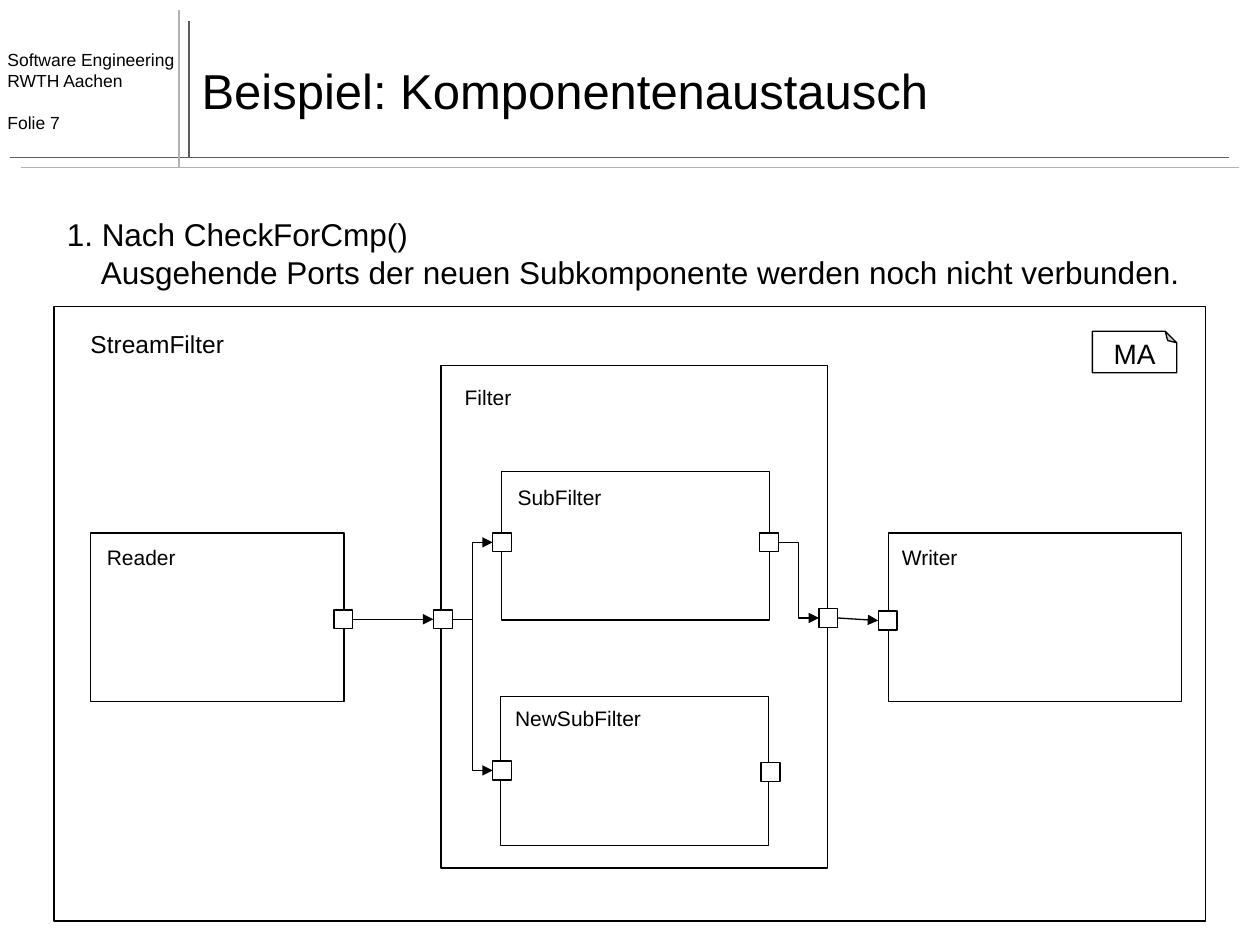
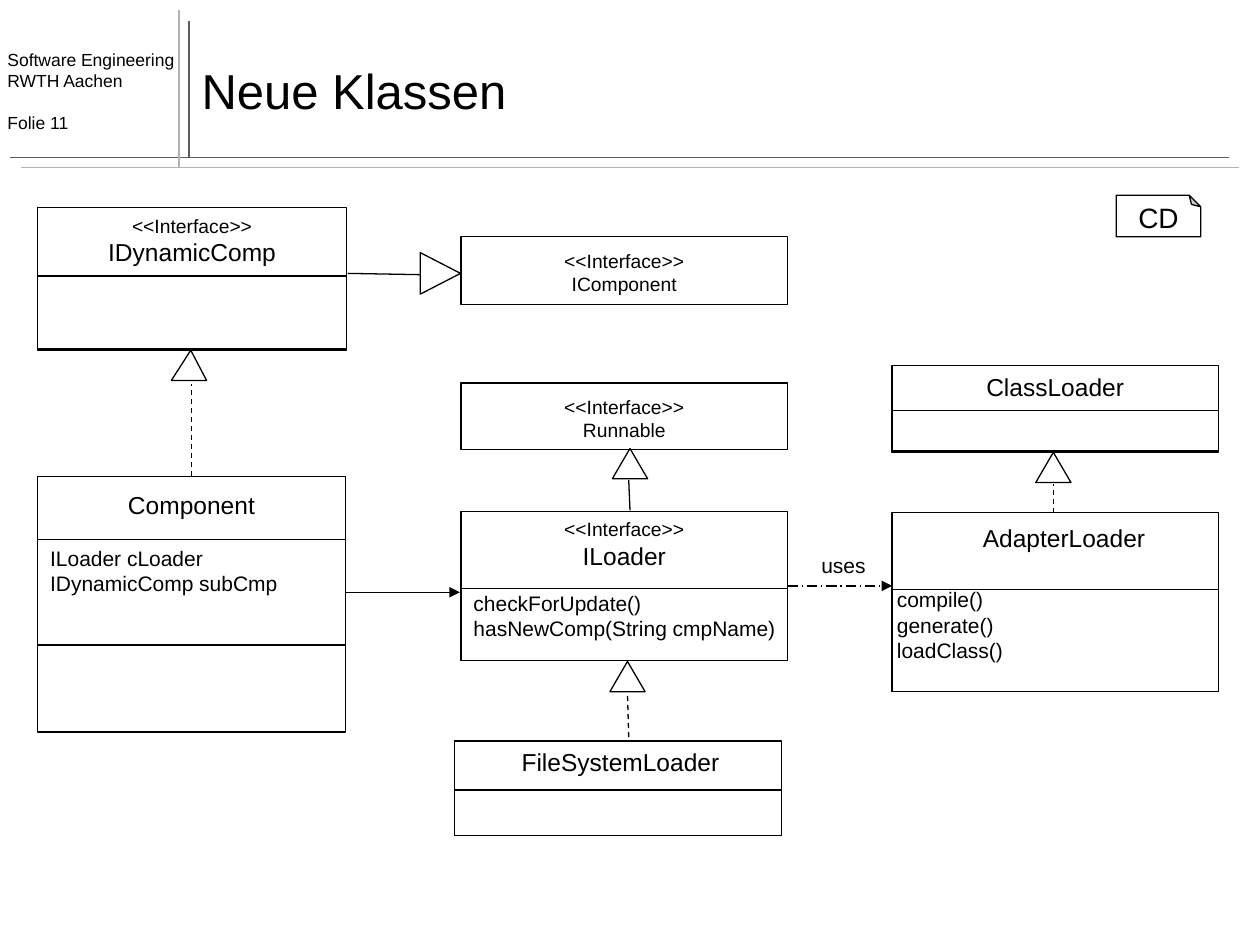
from lxml.etree import SubElement
from pptx import Presentation
from pptx.dml.color import RGBColor
from pptx.enum.dml import MSO_LINE as Dash
from pptx.enum.shapes import MSO_CONNECTOR as Link, MSO_SHAPE as Preset
from pptx.enum.text import MSO_ANCHOR as Anchor, PP_ALIGN as Align
from pptx.oxml.ns import qn
from pptx.util import Inches, Pt

COLORS = {"ink": "000000", "paper": "FFFFFF", "rule": "5C5C5C", "rule_light": "B2B2B2"}
FONT = "Arial"
PORT = 0.15
LEFT_SITE, RIGHT_SITE = 1, 3
STEREOTYPE = ("<<Interface>>", 11)


def color(name):
    return RGBColor.from_string(COLORS[name])


def write(frame, lines, align=Align.LEFT):
    for index, (text, size) in enumerate(lines):
        paragraph = frame.paragraphs[0] if index == 0 else frame.add_paragraph()
        paragraph.alignment = align
        paragraph.space_before = Pt(0)
        run = paragraph.add_run()
        run.text = text
        run.font.size = Pt(size)
        run.font.name = FONT
        run.font.color.rgb = color("ink")


def label(slide, box, lines, align=Align.LEFT, wrap=True):
    frame = slide.shapes.add_textbox(*map(Inches, box)).text_frame
    frame.word_wrap = wrap
    write(frame, lines, align)
    return frame


def outline(slide, preset, box, fill="paper"):
    shape = slide.shapes.add_shape(preset, *map(Inches, box))
    shape.shadow.inherit = False
    if fill:
        shape.fill.solid()
        shape.fill.fore_color.rgb = color(fill)
    else:
        shape.fill.background()
    shape.line.color.rgb = color("ink")
    shape.line.width = Pt(0.75)
    return shape


def line(slide, start, end, stroke="ink", width=0.75, kind=Link.STRAIGHT,
         dash=None, arrow=False):
    connector = slide.shapes.add_connector(kind, *map(Inches, (*start, *end)))
    connector.line.color.rgb = color(stroke)
    connector.line.width = Pt(width)
    if dash:
        connector.line.dash_style = dash
    properties = connector._element.spPr
    if arrow:
        SubElement(properties.find(qn("a:ln")), qn("a:tailEnd"), type="triangle")
    SubElement(properties, qn("a:effectLst"))
    return connector


def wire(slide, source, target, kind=Link.STRAIGHT):
    connector = line(slide, (0, 0), (1, 1), kind=kind, arrow=True)
    connector.begin_connect(source, RIGHT_SITE)
    connector.end_connect(target, LEFT_SITE)


def add_slide(deck, layout, title, number):
    slide = deck.slides.add_slide(deck.slide_layouts[layout])
    line(slide, (1.5, 1.25), (1.5, 0.17), "rule", 1)
    line(slide, (0.08, 1.25), (9.75, 1.25), "rule", 1)
    line(slide, (0.17, 1.33), (9.83, 1.33), "rule_light", 1)
    line(slide, (1.42, 1.33), (1.42, 0.08), "rule_light", 1)

    imprint = label(slide, (0, 0.34, 1.5, 0.77), [
        ("Software Engineering", 10), ("RWTH Aachen", 10), (f"Folie {number}", 10)])
    imprint.margin_left, imprint.margin_right = Inches(0.06), Inches(0.02)
    imprint.paragraphs[-1].space_before = Pt(12)

    heading = slide.shapes.title
    heading.left, heading.top = Inches(1.5), Inches(0.25)
    heading.width, heading.height = Inches(8.33), Inches(0.92)
    heading.text_frame.vertical_anchor = Anchor.MIDDLE
    write(heading.text_frame, [(title, 28)])
    return slide


def diagram_tag(slide, left, top, text):
    tag = outline(slide, Preset.FOLDED_CORNER, (left, top, 0.67, 0.33))
    properties = tag._element.spPr
    fold = properties.find(qn("a:prstGeom")).find(qn("a:avLst"))
    SubElement(fold, qn("a:gd"), name="adj", fmla="val 27600")
    properties.find(qn("a:xfrm")).set("flipV", "1")
    frame = tag.text_frame
    frame.word_wrap = False
    frame.vertical_anchor = Anchor.MIDDLE
    frame._txBody.bodyPr.set("rot", "10800000")
    write(frame, [(text, 16)], Align.CENTER)
    frame.paragraphs[0].line_spacing = 0.7


def explanation(slide, lines):
    body = slide.placeholders[1]
    body.left, body.top = Inches(0.43), Inches(1.66)
    body.width, body.height = Inches(9.21), Inches(0.7)
    write(body.text_frame, [(text, 18) for text in lines])
    for paragraph, indent in zip(body.text_frame.paragraphs, (-0.27, 0)):
        properties = paragraph._p.get_or_add_pPr()
        properties.set("marL", str(Inches(0.27)))
        properties.set("indent", str(Inches(indent)))
        SubElement(properties, qn("a:buNone"))


def component(slide, box, name, name_at, size=12):
    outline(slide, Preset.RECTANGLE, box)
    label(slide, (*name_at, 1.7, 0.3), [(name, size)])


def port(slide, left, top):
    return outline(slide, Preset.RECTANGLE, (left, top, PORT, PORT))


def class_box(slide, box, heading, heading_top, compartment=None, shift=0):
    left, top, width, height = box
    outline(slide, Preset.RECTANGLE, box, fill=None)
    if compartment:
        divider, depth = compartment
        outline(slide, Preset.RECTANGLE, (left, divider, width, depth), fill=None)
    label(slide, (left + shift, heading_top, width, 0.34), heading, Align.CENTER, wrap=False)


def members(slide, left, top, names):
    label(slide, (left, top, 2.73, 0.2 * len(names) + 0.1), [(name, 12) for name in names])


def inherits(slide, head, start, end, dash=None, tip=0.5, rotation=0):
    line(slide, start, end, dash=dash)
    size = (0.33, 0.32) if rotation else (0.28, 0.24)
    triangle = outline(slide, Preset.ISOSCELES_TRIANGLE, (*head, *size))
    triangle.adjustments[0] = tip
    triangle.rotation = rotation


def component_slide(deck):
    slide = add_slide(deck, 1, "Beispiel: Komponentenaustausch", 7)
    explanation(slide, [
        "1. Nach CheckForCmp()",
        "Ausgehende Ports der neuen Subkomponente werden noch nicht verbunden."])

    component(slide, (0.43, 2.43, 9.14, 4.88), "StreamFilter", (0.62, 2.56), 14)
    component(slide, (0.72, 4.23, 2.01, 1.34), "Reader", (0.75, 4.27))
    component(slide, (3.5, 2.9, 3.07, 3.99), "Filter", (3.59, 3))
    component(slide, (7.05, 4.23, 2.33, 1.34), "Writer", (7.06, 4.27))
    component(slide, (3.98, 3.74, 2.13, 1.18), "SubFilter", (4.01, 3.8))
    component(slide, (3.97, 5.53, 2.13, 1.18), "NewSubFilter", (3.99, 5.55))

    reader_out = port(slide, 2.65, 4.84)
    filter_in = port(slide, 3.44, 4.84)
    sub_in = port(slide, 3.91, 4.23)
    sub_out = port(slide, 6.03, 4.23)
    filter_out = port(slide, 6.5, 4.83)
    writer_in = port(slide, 6.97, 4.85)
    new_sub_in = port(slide, 3.91, 6.04)
    port(slide, 6.04, 6.05)

    wire(slide, reader_out, filter_in)
    wire(slide, filter_out, writer_in)
    wire(slide, filter_in, sub_in, Link.ELBOW)
    wire(slide, filter_in, new_sub_in, Link.ELBOW)
    wire(slide, sub_out, filter_out, Link.ELBOW)
    diagram_tag(slide, 8.67, 2.63, "MA")


def class_slide(deck):
    slide = add_slide(deck, 5, "Neue Klassen", 11)
    class_box(slide, (0.3, 1.65, 2.45, 1.13), [STEREOTYPE, ("IDynamicComp", 14)],
              1.65, (2.19, 0.58))
    class_box(slide, (0.3, 3.78, 2.44, 2.03), [("Component", 14)], 3.84, (4.28, 0.84))
    class_box(slide, (3.66, 1.88, 2.59, 0.54), [STEREOTYPE, ("IComponent", 11)], 1.93)
    class_box(slide, (3.66, 3.04, 2.59, 0.53), [STEREOTYPE, ("Runnable", 11)], 3.09)
    class_box(slide, (3.66, 4.06, 2.59, 1.18), [STEREOTYPE, ("ILoader", 14)],
              4.06, (4.67, 0.57))
    class_box(slide, (3.61, 5.88, 2.59, 0.75), [("FileSystemLoader", 14)],
              5.88, (6.27, 0.36), shift=0.02)
    class_box(slide, (7.08, 2.9, 2.59, 0.68), [("ClassLoader", 14)], 2.9, (3.26, 0.33))
    class_box(slide, (7.08, 4.07, 2.59, 1.42), [("AdapterLoader", 14)],
              4.1, (4.68, 0.81), shift=0.07)

    members(slide, 0.3, 4.28, ["ILoader cLoader", "IDynamicComp subCmp"])
    members(slide, 3.66, 4.64, ["checkForUpdate()", "hasNewComp(String cmpName)"])
    members(slide, 7.02, 4.61, ["compile()", "generate()", "loadClass()"])

    inherits(slide, (3.33, 2.01), (2.76, 2.17), (3.34, 2.18), rotation=90)
    inherits(slide, (1.36, 2.78), (1.52, 3.78), (1.52, 3.05), Dash.DASH, tip=0.55)
    inherits(slide, (4.86, 3.56), (5, 4.05), (4.99, 3.81))
    inherits(slide, (4.84, 5.25), (4.99, 5.85), (4.98, 5.5), Dash.DASH)
    inherits(slide, (8.22, 3.59), (8.36, 4.07), (8.36, 3.84), Dash.DASH)

    line(slide, (2.74, 4.7), (3.65, 4.7), arrow=True)
    line(slide, (6.25, 4.65), (7.08, 4.65), dash=Dash.LONG_DASH_DOT, arrow=True)
    label(slide, (6.42, 4.34, 0.6, 0.3), [("uses", 12)])
    diagram_tag(slide, 8.86, 1.55, "CD")


def main():
    deck = Presentation()
    deck.slide_width, deck.slide_height = Inches(10), Inches(7.5)
    component_slide(deck)
    class_slide(deck)
    deck.save("out.pptx")


if __name__ == "__main__":
    main()
